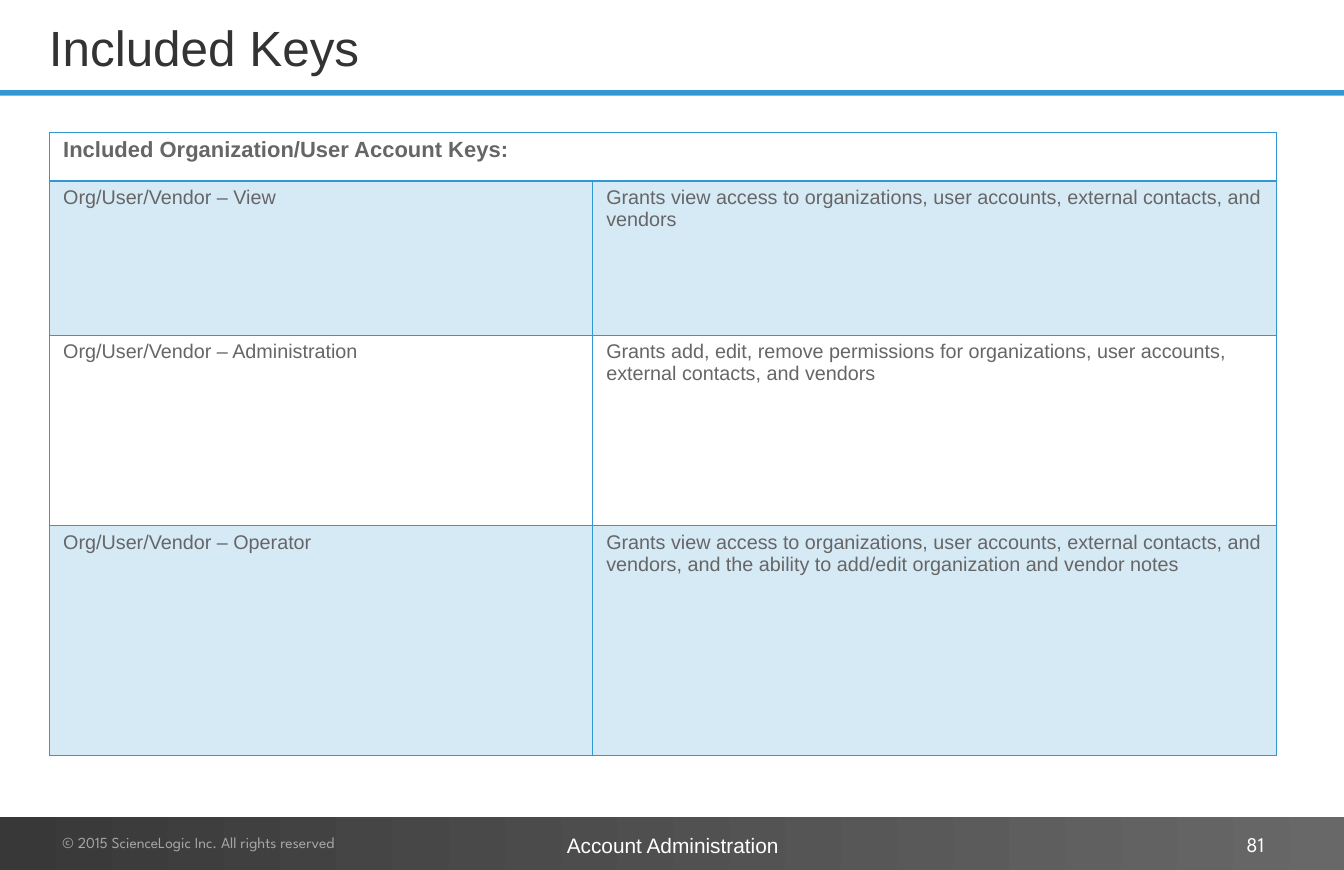
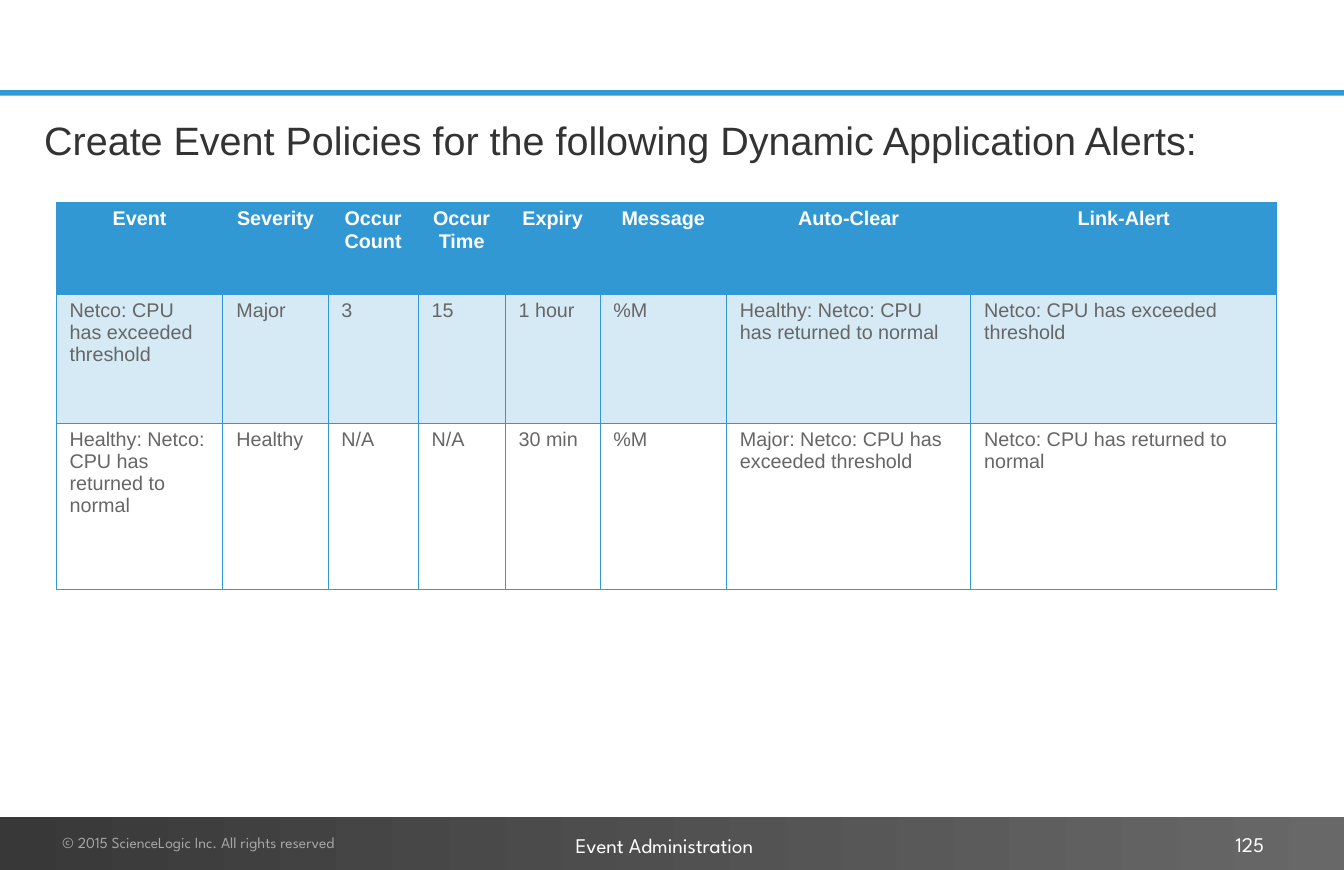
from lxml import etree
from pptx import Presentation
from pptx.dml.color import RGBColor
from pptx.enum.shapes import MSO_SHAPE
from pptx.enum.text import MSO_ANCHOR, PP_ALIGN
from pptx.oxml.ns import qn
from pptx.util import Inches, Pt

RECTANGLE = MSO_SHAPE.RECTANGLE
TOP, MIDDLE = MSO_ANCHOR.TOP, MSO_ANCHOR.MIDDLE
LEFT, CENTER, RIGHT = PP_ALIGN.LEFT, PP_ALIGN.CENTER, PP_ALIGN.RIGHT

BLUE, PALE_BLUE, WHITE = "3298D4", "D6EAF6", "FFFFFF"
FOOTER_START, FOOTER_END = "383838", "686869"
DARK, GRAY, LIGHT_GRAY = "333333", "666666", "A6A6A6"
SANS, SPARTAN = "Arial", "League Spartan"

TITLE = {"name": SANS, "size": Pt(45), "color": DARK}
SUBTITLE = {**TITLE, "size": Pt(36)}
COPYRIGHT = {"name": SPARTAN, "size": Pt(14), "color": LIGHT_GRAY}
FOOTER = {"name": SPARTAN, "size": Pt(19), "color": WHITE}
CELL = {"name": SANS, "size": Pt(18), "color": GRAY, "bold": False}
KEYS_HEADER = {**CELL, "size": Pt(20), "bold": True}
EVENTS_HEADER = {**CELL, "color": WHITE, "bold": True}

TEXT_INSETS = (0.1, 0.05)
FOOTER_INSETS = (0.16, 0.08)
CELL_INSETS = (0.17, 0.07)

KEYS = [
    ["Included Organization/User Account Keys:", ""],
    ["Org/User/Vendor – View",
     "Grants view access to organizations, user accounts, external contacts, "
     "and vendors"],
    ["Org/User/Vendor – Administration",
     "Grants add, edit, remove permissions for organizations, user accounts, "
     "external contacts, and vendors"],
    ["Org/User/Vendor – Operator",
     "Grants view access to organizations, user accounts, external contacts, "
     "and vendors, and the ability to add/edit organization and vendor notes"],
]
EVENTS = [
    ["Event", "Severity", "Occur Count", "Occur Time", "Expiry", "Message",
     "Auto-Clear", "Link-Alert"],
    ["Netco: CPU has exceeded threshold", "Major", "3", "15", "1 hour", "%M",
     "Healthy: Netco: CPU has returned to normal",
     "Netco: CPU has exceeded threshold"],
    ["Healthy: Netco: CPU has returned to normal", "Healthy", "N/A", "N/A",
     "30 min", "%M", "Major: Netco: CPU has exceeded threshold",
     "Netco: CPU has returned to normal"],
]


def rgb(color):
    return RGBColor.from_string(color)


def set_insets(target, insets):
    for side, inset in zip(("left", "top", "right", "bottom"), insets * 2):
        setattr(target, f"margin_{side}", Inches(inset))


def write(frame, text, style, align=LEFT):
    para = frame.paragraphs[0]
    para.alignment = align
    span = para.add_run()
    span.text = text
    for name, value in style.items():
        if name == "color":
            span.font.color.rgb = rgb(value)
        else:
            setattr(span.font, name, value)


def add_text(page, place, text, style, align=LEFT, anchor=TOP,
             insets=TEXT_INSETS):
    box = page.shapes.add_textbox(*map(Inches, place))
    frame = box.text_frame
    frame.word_wrap = True
    frame.vertical_anchor = anchor
    set_insets(frame, insets)
    write(frame, text, style, align)


def add_band(page, top, height, colors):
    band = page.shapes.add_shape(
        RECTANGLE, *map(Inches, (0, top, 17.02, height)))
    band.shadow.inherit = False
    band.line.fill.background()
    if len(colors) == 1:
        band.fill.solid()
        band.fill.fore_color.rgb = rgb(colors[0])
        return
    band.fill.gradient()
    band.fill.gradient_angle = 0
    for position, (stop, color) in enumerate(
            zip(band.fill.gradient_stops, colors)):
        stop.position = position
        stop.color.rgb = rgb(color)


def set_borders(cell, widths):
    properties = cell._tc.get_or_add_tcPr()
    for side, width in widths.items():
        line = etree.SubElement(properties, qn(f"a:ln{side}"), w=str(Pt(width)))
        fill = etree.SubElement(line, qn("a:solidFill"))
        etree.SubElement(fill, qn("a:srgbClr"), val=BLUE)


def add_grid(page, left, top, widths, heights, rows, header_style, header_fill,
             header_align=LEFT):
    size = (left, top, sum(widths), sum(heights))
    table = page.shapes.add_table(
        len(rows), len(widths), *map(Inches, size)).table
    table.first_row = table.horz_banding = False
    for column, width in zip(table.columns, widths):
        column.width = Inches(width)
    for index, (row, height, texts) in enumerate(
            zip(table.rows, heights, rows)):
        row.height = Inches(height)
        is_header = index == 0
        style = header_style if is_header else CELL
        color = header_fill if is_header else PALE_BLUE if index % 2 else WHITE
        for cell, text in zip(row.cells, texts):
            set_borders(cell, {"L": 1, "R": 1, "T": 2 if index == 1 else 1,
                               "B": 2 if is_header else 1})
            set_insets(cell, CELL_INSETS)
            cell.fill.solid()
            cell.fill.fore_color.rgb = rgb(color)
            if text:
                write(cell.text_frame, text, style,
                      header_align if is_header else LEFT)
    return table


def add_page(deck, number):
    page = deck.slides.add_slide(deck.slide_layouts[6])
    add_band(page, 1.14, 0.07, [BLUE])
    add_band(page, 10.33, 0.69, [FOOTER_START, FOOTER_END])
    add_text(page, (0.63, 10.46, 5, 0.4),
             "© 2015 ScienceLogic Inc. All rights reserved", COPYRIGHT,
             insets=FOOTER_INSETS)
    add_text(page, (12.18, 10.46, 3.97, 0.43), number, FOOTER, RIGHT, MIDDLE,
             FOOTER_INSETS)
    return page


def add_keys_page(deck):
    page = add_page(deck, "81")
    add_text(page, (0.52, 0.01, 14.85, 1.17), "Included Keys", TITLE,
             anchor=MIDDLE)
    table = add_grid(page, 0.63, 1.67, [6.87, 8.65], [0.62, 1.95, 2.41, 2.9],
                     KEYS, KEYS_HEADER, WHITE)
    table.cell(0, 0).merge(table.cell(0, 1))
    add_text(page, (6.63, 10.45, 3.76, 0.48), "Account Administration",
             {**FOOTER, "name": SANS}, CENTER, insets=FOOTER_INSETS)


def add_events_page(deck):
    page = add_page(deck, "125")
    add_text(page, (0.46, 1.42, 16.06, 0.71),
             "Create Event Policies for the following Dynamic Application "
             "Alerts:", SUBTITLE)
    add_grid(page, 0.71, 2.56,
             [2.11, 1.33, 1.14, 1.1, 1.2, 1.6, 3.09, 3.87], [1.16, 1.63, 2.1],
             EVENTS, EVENTS_HEADER, BLUE, CENTER)
    add_text(page, (7.12, 10.45, 2.76, 0.48), "Event Administration", FOOTER,
             insets=FOOTER_INSETS)


def main():
    deck = Presentation()
    deck.slide_width, deck.slide_height = Inches(17), Inches(11)
    add_keys_page(deck)
    add_events_page(deck)
    deck.save("out.pptx")


if __name__ == "__main__":
    main()
